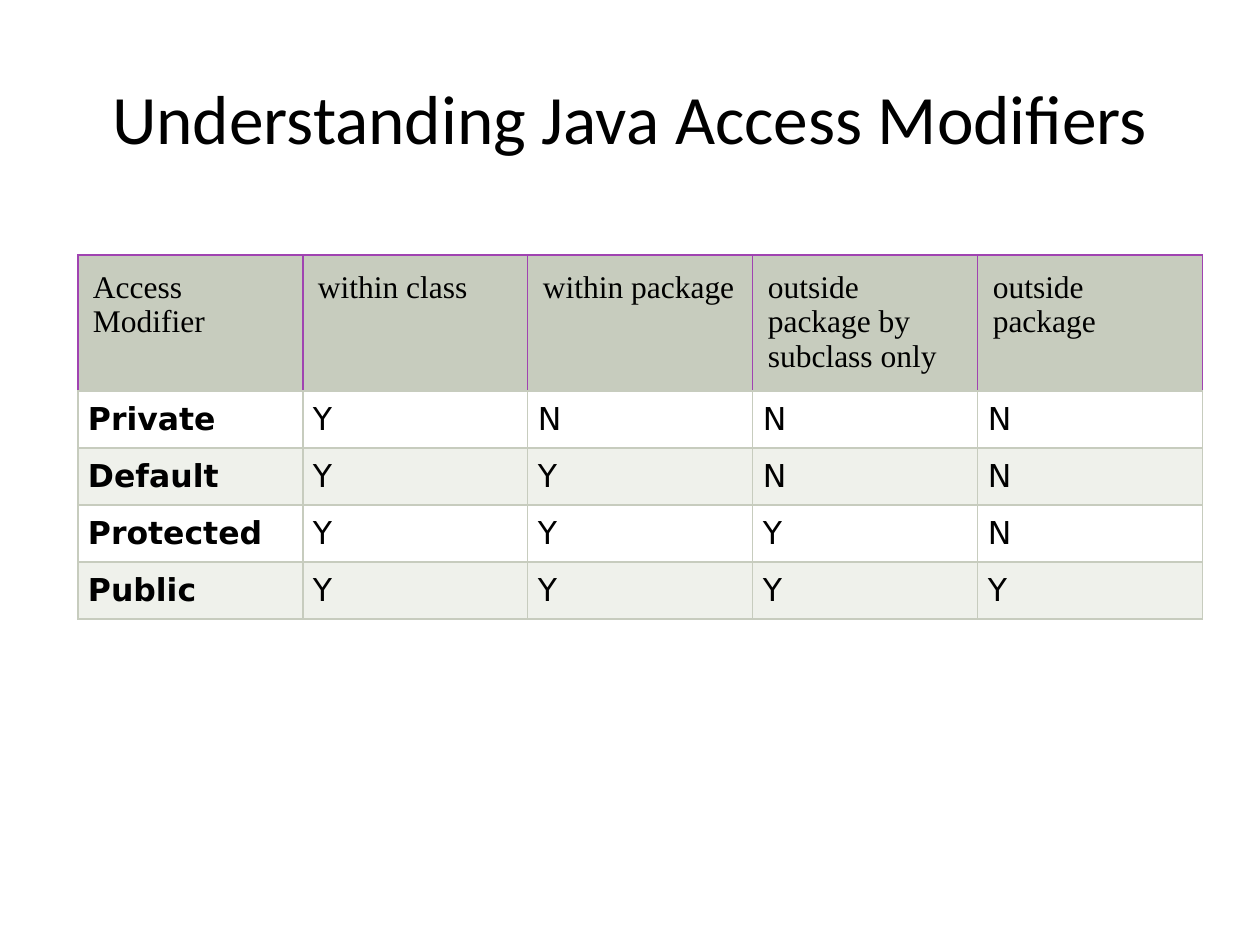
"""Build a slide that tabulates the Java access modifiers."""
from dataclasses import dataclass

from lxml.etree import SubElement as Sub
from pptx import Presentation
from pptx.dml.color import RGBColor as Color
from pptx.enum.text import MSO_ANCHOR as Anchor, MSO_AUTO_SIZE as Auto, PP_ALIGN as Align
from pptx.oxml.ns import qn
from pptx.util import Emu, Pt

TITLE = "Understanding Java Access Modifiers"
HEADS = ["Access Modifier", "within class", "within package",
         "outside package by subclass only", "outside package"]
RULES = [("Private", "YNNN"), ("Default", "YYNN"),
         ("Protected", "YYYN"), ("Public", "YYYY")]


@dataclass(frozen=True)
class Theme:
    ink: str = "000000"
    sage: str = "C7CCBE"
    plum: str = "A043B1"
    bands: tuple = ("FFFFFF", "EFF1EB")
    title: float = 39.6
    body: int = 18
    sans: str = "Calibri"
    serif: str = "Times New Roman"
    wide: str = "DejaVu Sans"
    line: float = 0.75


LOOK = Theme()
SCALE = 914400 / 126
LEFT, TOP, COL = 78, 255, 225
HEAD, ROW = 136, 57


def px(num):
    return Emu(round(num * SCALE))


def write(frame, text, *, font, size=LOOK.body, bold=False, align=Align.LEFT):
    par = frame.paragraphs[0]
    par.alignment = align
    run = par.add_run()
    run.text = text
    run.font.name, run.font.size, run.font.bold = font, Pt(size), bold
    run.font.color.rgb = Color.from_string(LOOK.ink)


def edge(cell, tints):
    props = cell._tc.get_or_add_tcPr()
    for spot, (side, tint) in enumerate(zip("LRTB", tints)):
        line = Sub(props, qn(f"a:ln{side}"), w=str(Pt(LOOK.line)))
        fill = Sub(line, qn("a:solidFill"))
        Sub(fill, qn("a:srgbClr"), val=tint)
        props.insert(spot, line)


def style(cell, fill, pad, tints):
    cell.margin_left = cell.margin_right = px(pad)
    cell.margin_top = cell.margin_bottom = px(pad)
    cell.fill.solid()
    cell.fill.fore_color.rgb = Color.from_string(fill)
    edge(cell, tints)


def add_title(slide):
    title = slide.shapes.title
    title.left, title.top, title.width, title.height = map(px, (63, 38, 1134, 157))
    frame = title.text_frame
    frame.auto_size, frame.word_wrap = Auto.NONE, True
    frame.vertical_anchor = Anchor.MIDDLE
    write(frame, TITLE, font=LOOK.sans, size=LOOK.title, align=Align.CENTER)


def add_grid(slide):
    rows, cols = len(RULES) + 1, len(HEADS)
    tall = HEAD + ROW * len(RULES)
    grid = slide.shapes.add_table(rows, cols, px(LEFT), px(TOP),
                                  px(COL * cols), px(tall)).table
    for col in grid.columns:
        col.width = px(COL)
    for num, row in enumerate(grid.rows):
        row.height = px(ROW if num else HEAD)
    for col, text in enumerate(HEADS):
        cell = grid.cell(0, col)
        style(cell, LOOK.sage, 15, [LOOK.plum] * 3 + [LOOK.sage])
        write(cell.text_frame, text, font=LOOK.serif)
    for num, (name, flags) in enumerate(RULES):
        for col, text in enumerate([name, *flags]):
            cell = grid.cell(num + 1, col)
            style(cell, LOOK.bands[num % 2], 10, [LOOK.sage] * 4)
            write(cell.text_frame, text, font=LOOK.wide, bold=col == 0)


def main():
    deck = Presentation()
    deck.slide_width, deck.slide_height = px(1260), px(945)
    slide = deck.slides.add_slide(deck.slide_layouts[5])
    add_title(slide)
    add_grid(slide)
    deck.save("out.pptx")


if __name__ == "__main__":
    main()
